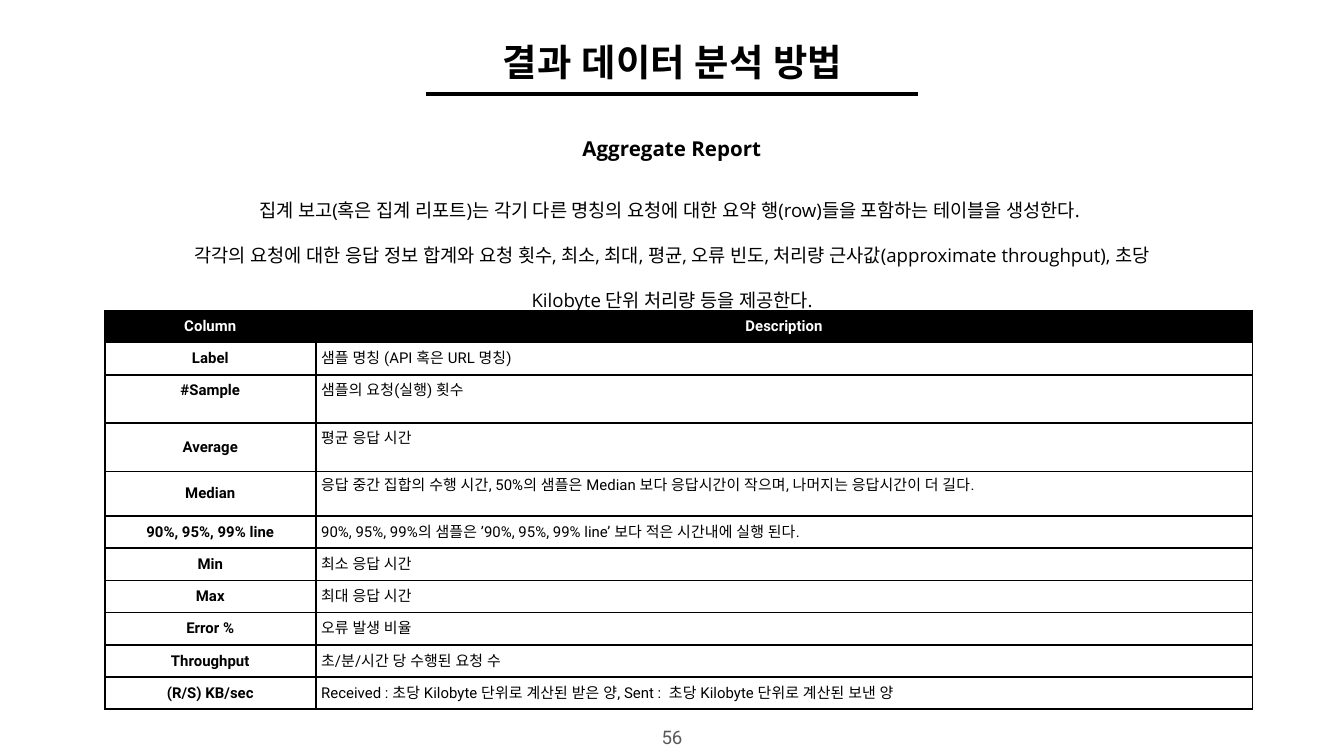
from copy import deepcopy

from lxml import etree
from pptx import Presentation
from pptx.dml.color import RGBColor
from pptx.enum import shapes, text
from pptx.oxml.ns import qn
from pptx.util import Inches, Pt

BLACK = RGBColor(0x00, 0x00, 0x00)
WHITE = RGBColor(0xFF, 0xFF, 0xFF)
GREY = RGBColor(0x59, 0x59, 0x59)

CENTER = text.PP_ALIGN.CENTER
LEFT = text.PP_ALIGN.LEFT
TOP = text.MSO_ANCHOR.TOP
MIDDLE = text.MSO_ANCHOR.MIDDLE

COLUMN_WIDTHS = (1.57, 6.97)
ROW_HEIGHT = 0.24

# Column name, description, row height; \v is a line break inside a cell
ROWS = [
    ("Column", "Description", ROW_HEIGHT),
    ("Label", "샘플 명칭 (API 혹은 URL 명칭)", ROW_HEIGHT),
    ("#Sample\v", "샘플의 요청(실행) 횟수\v", 0.36),
    ("Average", "평균 응답 시간\v", 0.36),
    ("Median", "응답 중간 집합의 수행 시간, 50%의 샘플은 Median 보다 응답시간이 작으며, "
     "나머지는 응답시간이 더 길다.\v", 0.33),
    ("90%, 95%, 99% line",
     "90%, 95%, 99%의 샘플은 ’90%, 95%, 99% line’ 보다 적은 시간내에 실행 된다.", ROW_HEIGHT),
    ("Min", "최소 응답 시간", ROW_HEIGHT),
    ("Max", "최대 응답 시간", ROW_HEIGHT),
    ("Error %", "오류 발생 비율", ROW_HEIGHT),
    ("Throughput", "초/분/시간 당 수행된 요청 수", ROW_HEIGHT),
    ("(R/S) KB/sec", "Received : 초당 Kilobyte 단위로 계산된 받은 양, "
     "Sent :  초당 Kilobyte 단위로 계산된 보낸 양", ROW_HEIGHT),
]


def format_paragraph(paragraph, font_name, size, color, bold, align, spacing=None):
    paragraph.alignment = align
    paragraph.line_spacing = spacing
    for run in paragraph.runs:
        run.font.name = font_name
        run.font.size = Pt(size)
        run.font.bold = bold
        run.font.color.rgb = color
        properties = run.font._element
        for script in ("a:ea", "a:cs"):
            etree.SubElement(properties, qn(script), typeface=font_name)
    for line_break in paragraph._p.findall(qn("a:br")):
        format_break(paragraph, line_break)


def format_break(paragraph, line_break):
    """Give the break and the line after it the format of the first run."""
    properties = paragraph.runs[0].font._element
    line_break.insert(0, deepcopy(properties))
    end = etree.SubElement(paragraph._p, qn("a:endParaRPr"), dict(properties.attrib))
    end.extend(deepcopy(child) for child in properties)


def add_text(slide, box, content, size, font_name="Open Sans", color=BLACK,
             bold=False, spacing=None, anchor=MIDDLE, inset=0.04):
    shape = slide.shapes.add_textbox(*map(Inches, box))
    frame = shape.text_frame
    frame.word_wrap = True
    frame.vertical_anchor = anchor
    frame.margin_left = frame.margin_right = Inches(inset)
    frame.margin_top = frame.margin_bottom = Inches(inset)
    frame.text = content
    for paragraph in frame.paragraphs:
        format_paragraph(paragraph, font_name, size, color, bold, CENTER, spacing)


def add_title_rule(slide):
    line = slide.shapes.add_connector(shapes.MSO_CONNECTOR.STRAIGHT, Inches(3.17),
                                      Inches(0.7), Inches(6.83), Inches(0.7))
    line.line.color.rgb = BLACK
    line.line.width = Pt(2.25)
    etree.SubElement(line.element.spPr, qn("a:effectLst"))


def set_borders(cell):
    """Draw a 1 pt black line on all sides; lines must precede the fill."""
    properties = cell._tc.get_or_add_tcPr()
    for index, side in enumerate(("a:lnL", "a:lnR", "a:lnT", "a:lnB")):
        border = etree.Element(qn(side), w=str(Pt(1)))
        fill = etree.SubElement(border, qn("a:solidFill"))
        etree.SubElement(fill, qn("a:srgbClr"), val=str(BLACK))
        properties.insert(index, border)


def fill_cell(cell, content, is_header, is_name):
    cell.text_frame.text = content
    cell.vertical_anchor = MIDDLE
    cell.margin_left = cell.margin_right = Inches(0.04)
    cell.margin_top = cell.margin_bottom = Inches(0.03)
    if is_header:
        cell.fill.solid()
        cell.fill.fore_color.rgb = BLACK
    else:
        cell.fill.background()
    emphasized = is_header or is_name
    format_paragraph(cell.text_frame.paragraphs[0], "Roboto", 8,
                     WHITE if is_header else BLACK, emphasized,
                     CENTER if emphasized else LEFT)
    set_borders(cell)


def add_report_table(slide):
    height = sum(row[2] for row in ROWS)
    table = slide.shapes.add_table(
        len(ROWS), len(COLUMN_WIDTHS), Inches(0.78), Inches(2.31),
        Inches(sum(COLUMN_WIDTHS)), Inches(height)).table
    table.horz_banding = False
    for column, width in zip(table.columns, COLUMN_WIDTHS):
        column.width = Inches(width)
    for r, (name, description, row_height) in enumerate(ROWS):
        table.rows[r].height = Inches(row_height)
        for c, content in enumerate((name, description)):
            fill_cell(table.cell(r, c), content, r == 0, c == 0)


def main():
    presentation = Presentation()
    presentation.slide_width = Inches(10)
    presentation.slide_height = Inches(10) * 9 // 16
    slide = presentation.slides.add_slide(presentation.slide_layouts[6])

    add_text(slide, (4.87, 5.36, 0.26, 0.19), "56", 10, "Roboto", GREY, anchor=TOP)
    add_text(slide, (4.13, 0.94, 1.74, 0.23), "Aggregate Report", 11,
             bold=True, spacing=1.5)
    add_text(slide, (1.34, 1.32, 7.32, 0.99),
             "집계 보고(혹은 집계 리포트)는 각기 다른 명칭의 요청에 대한 요약 행(row)들을 "
             "포함하는 테이블을 생성한다. \n"
             "각각의 요청에 대한 응답 정보 합계와 요청 횟수, 최소, 최대, 평균, 오류 빈도, "
             "처리량 근사값(approximate throughput), 초당 Kilobyte 단위 처리량 등을 제공한다.",
             10, spacing=2.0)
    add_report_table(slide)
    add_text(slide, (2.45, 0.25, 5.11, 0.42), "결과 데이터 분석 방법", 20,
             bold=True, inset=0.1)
    add_title_rule(slide)

    presentation.save("out.pptx")


if __name__ == "__main__":
    main()
